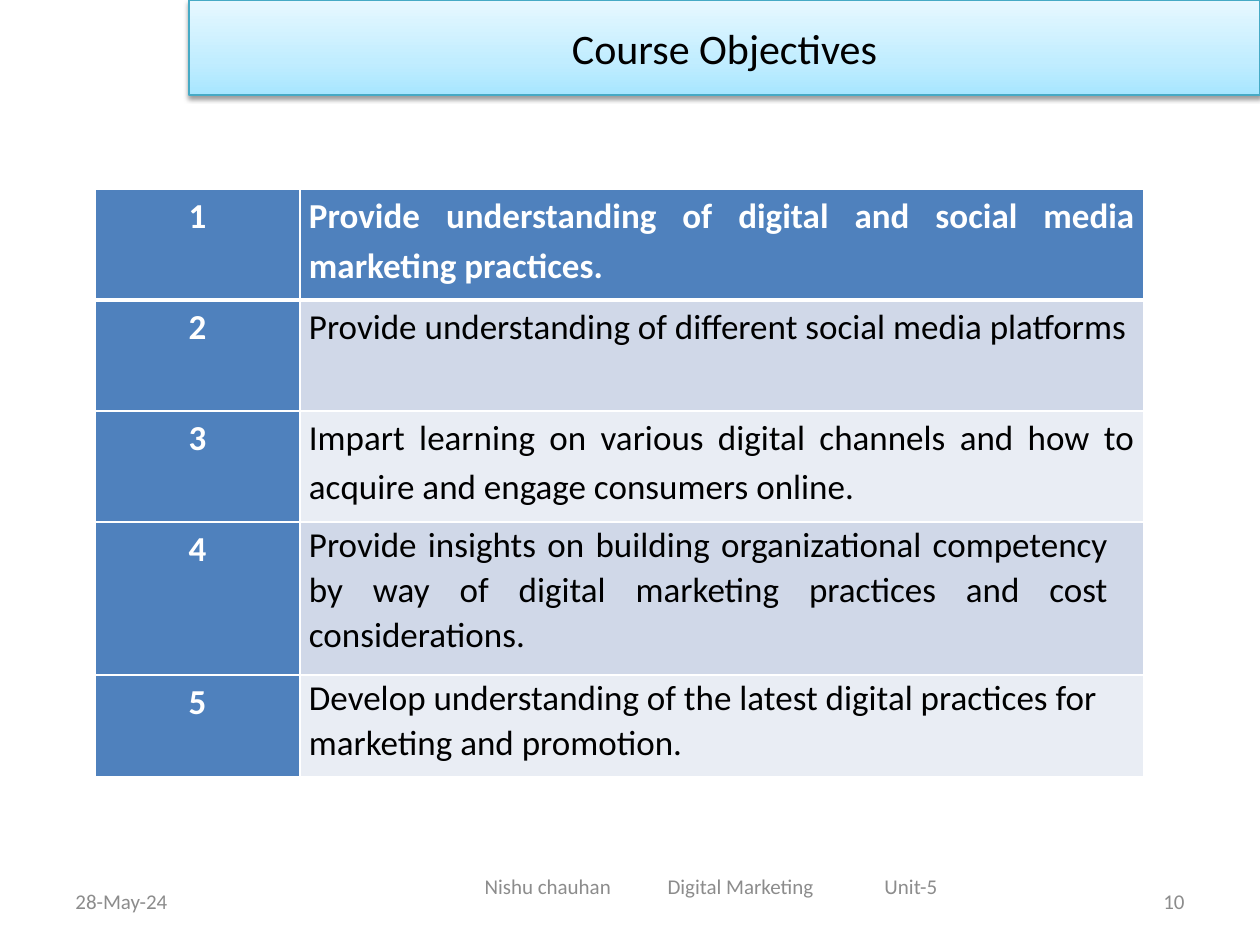
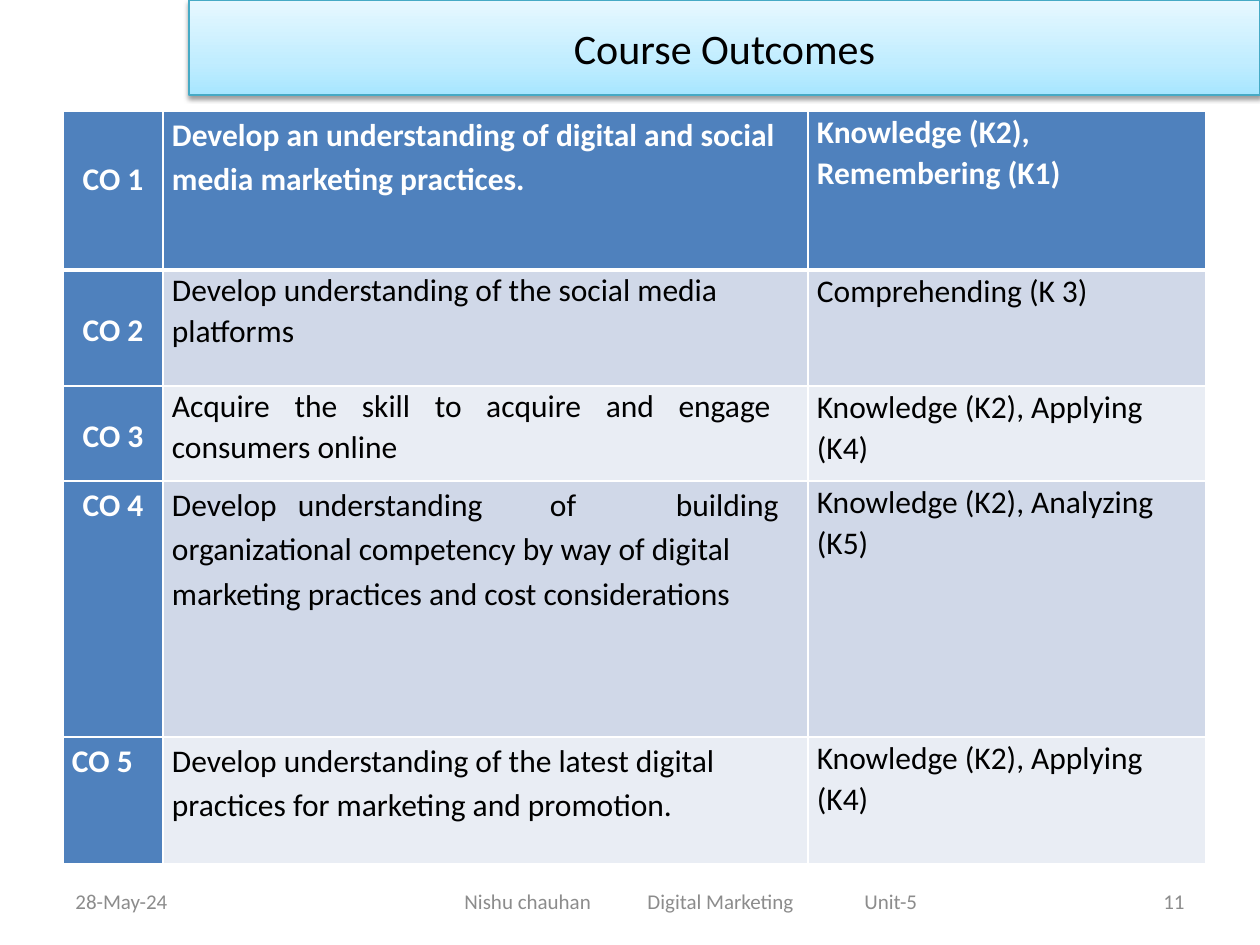
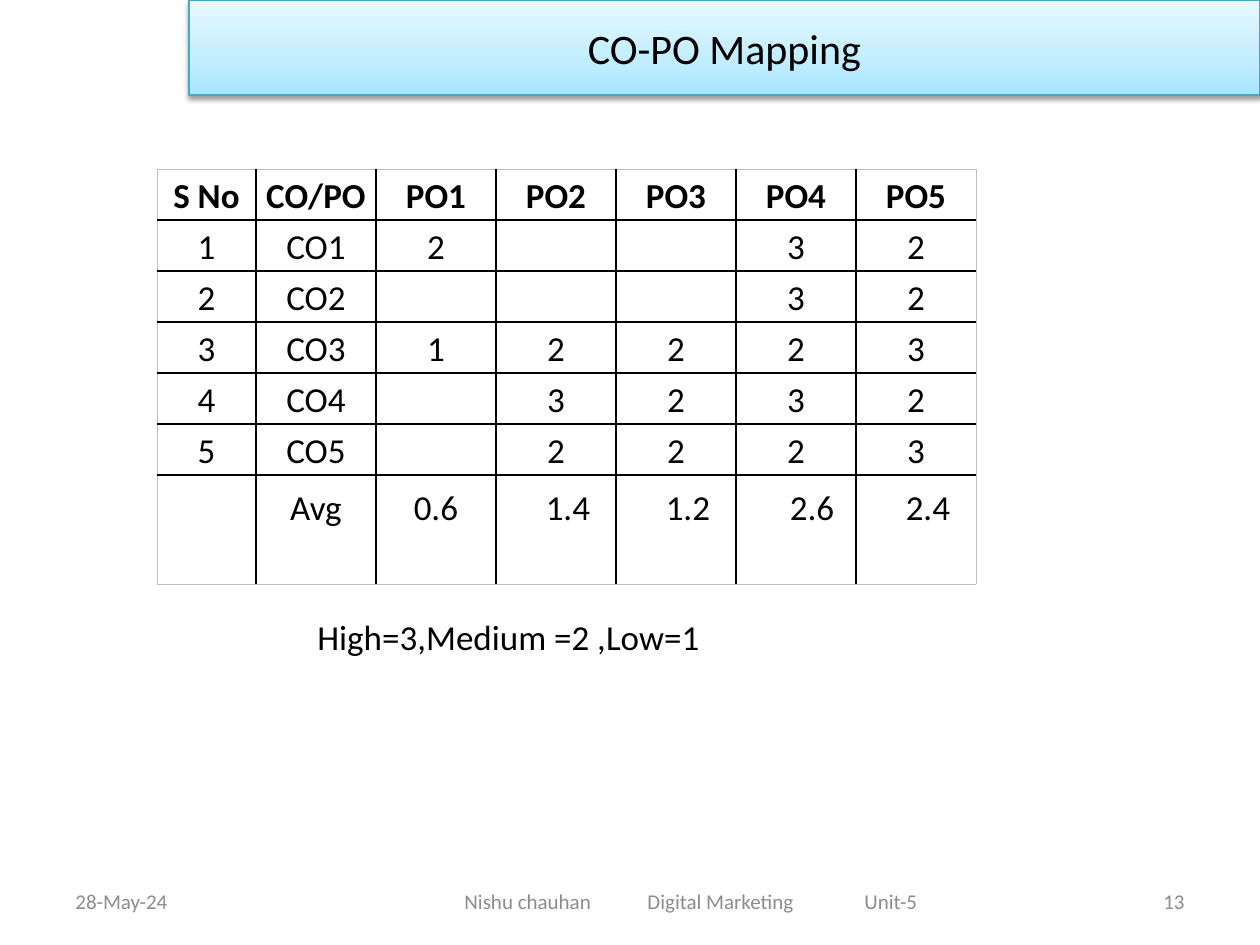
from copy import deepcopy

from lxml import etree
from pptx import Presentation
from pptx.dml.color import RGBColor
from pptx.enum.shapes import MSO_SHAPE
from pptx.enum.text import MSO_ANCHOR, PP_ALIGN
from pptx.oxml.ns import qn
from pptx.util import Emu, Pt

LEFT, CENTER, RIGHT, JUSTIFY = PP_ALIGN.LEFT, PP_ALIGN.CENTER, PP_ALIGN.RIGHT, PP_ALIGN.JUSTIFY
TOP, MIDDLE = MSO_ANCHOR.TOP, MSO_ANCHOR.MIDDLE
RECTANGLE = MSO_SHAPE.RECTANGLE

PX_PER_INCH = 126
SLIDE_WIDTH, SLIDE_HEIGHT = 1260, 945
FONT = "Calibri"
COLORS = {
    "black": "000000",
    "white": "FFFFFF",
    "footer": "8C8C8C",
    "head": "4F81BD",
    "band_dark": "D0D8E8",
    "band_light": "E9EDF4",
    "outline": "BFBFBF",
    "title_line": "46AAC5",
    "title_bottom": "A7E6FF",
    "title_middle": "C1EDFF",
    "title_top": "E7F8FF",
}
FOOTER_PARTS = ("Nishu chauhan", "Digital Marketing", "Unit-5")
FOOTER_TABS = (183, 400)
FOOTER_HALF_WIDTH = 229


def px(length):
    return Emu(round(length * 914400 / PX_PER_INCH))


def rgb(name):
    return RGBColor.from_string(COLORS[name])


def add_xml(parent, tag, **attributes):
    values = {key: str(value) for key, value in attributes.items()}
    return etree.SubElement(parent, qn(tag), values)


class Deck:
    """Holds the shared style and the slide being filled."""

    def __init__(self):
        self.presentation = Presentation()
        self.presentation.slide_width = px(SLIDE_WIDTH)
        self.presentation.slide_height = px(SLIDE_HEIGHT)
        self.slide = None

    def new_slide(self, title, number, footer_box=(347, 876, 693)):
        self.slide = self.presentation.slides.add_slide(self.presentation.slide_layouts[6])
        self.text(63, 876, 294, 50, "28-May-24", 12, "footer", anchor=MIDDLE)
        self.footer(*footer_box)
        self.text(903, 876, 294, 50, str(number), 12, "footer", RIGHT, MIDDLE)
        self.title(title)

    def style(self, text_frame, size, color, align=LEFT, bold=False, spacing=None, tabs=()):
        for paragraph in text_frame.paragraphs:
            paragraph.alignment = align
            if spacing:
                paragraph.line_spacing = spacing
            if tabs:
                tab_list = add_xml(paragraph._p.get_or_add_pPr(), "a:tabLst")
                for tab in tabs:
                    add_xml(tab_list, "a:tab", pos=px(tab), algn="l")
            for run in paragraph.runs:
                run.font.name = FONT
                run.font.size = Pt(size)
                run.font.bold = bold
                run.font.color.rgb = rgb(color)

    def text(self, left, top, width, height, text, size, color,
             align=LEFT, anchor=TOP, tabs=()):
        text_frame = self.slide.shapes.add_textbox(
            px(left), px(top), px(width), px(height)).text_frame
        text_frame.word_wrap = True
        text_frame.vertical_anchor = anchor
        text_frame.text = text
        self.style(text_frame, size, color, align, tabs=tabs)
        return text_frame

    def footer(self, left, top, width):
        """Set the three footer parts on tab stops, centred as a group."""
        text_frame = self.text(left, top, width, 50, "\t".join(FOOTER_PARTS), 12, "footer",
                               anchor=MIDDLE, tabs=FOOTER_TABS)
        text_frame.margin_left = px(width / 2 - FOOTER_HALF_WIDTH)

    def title(self, text):
        band = self.slide.shapes.add_shape(RECTANGLE, px(189), px(0), px(1071), px(95))
        band.line.color.rgb = rgb("title_line")
        band.line.width = Pt(0.75)

        band.fill.gradient()
        band.fill.gradient_angle = 90
        stop_list = band._element.spPr.find(qn("a:gradFill")).find(qn("a:gsLst"))
        stop_list.append(deepcopy(stop_list[0]))
        stops = ((0, "title_bottom"), (0.35, "title_middle"), (1, "title_top"))
        for stop, (position, color) in zip(band.fill.gradient_stops, stops):
            stop.position = position
            stop.color.rgb = rgb(color)

        band.shadow.inherit = False
        effects = band._element.spPr.find(qn("a:effectLst"))
        shadow = add_xml(effects, "a:outerShdw", blurRad=Pt(3.1), dist=Pt(1.6),
                         dir=5400000, rotWithShape=0)
        shadow_color = add_xml(shadow, "a:srgbClr", val=COLORS["black"])
        add_xml(shadow_color, "a:alpha", val=38000)

        band.text_frame.text = text
        band.text_frame.vertical_anchor = MIDDLE
        self.style(band.text_frame, 24, "black", CENTER)

    def table(self, left, top, columns, rows):
        frame = self.slide.shapes.add_table(len(rows), len(columns), px(left), px(top),
                                            px(sum(columns)), px(sum(rows)))
        table = frame.table
        table.first_row = table.horz_banding = False
        for column, width in zip(table.columns, columns):
            column.width = px(width)
        for row, height in zip(table.rows, rows):
            row.height = px(height)
        return table

    def borders(self, cell, **sides):
        """Draw the sides L, R, T and B, each given as (colour, points)."""
        properties = cell._tc.get_or_add_tcPr()
        for side in "LRTB":
            color, width = sides[side]
            line = add_xml(properties, f"a:ln{side}", w=Pt(width))
            add_xml(add_xml(line, "a:solidFill"), "a:srgbClr", val=COLORS[color])

    def cell(self, cell, text, size, color, fill=None, margins=(9, 0, 9, 0),
             anchor=TOP, align=LEFT, bold=False, spacing=1.15, tabs=()):
        cell.margin_left, cell.margin_top, cell.margin_right, cell.margin_bottom = map(px, margins)
        cell.vertical_anchor = anchor
        if fill:
            cell.fill.solid()
            cell.fill.fore_color.rgb = rgb(fill)
        else:
            cell.fill.background()
        cell.text_frame.text = text
        self.style(cell.text_frame, size, color, align, bold, spacing, tabs)

    def banded_table(self, left, top, columns, rows, size, content):
        """Fill a table with a dark first row and column; content holds (text, options) cells."""
        table = self.table(left, top, columns, rows)
        thin, thick = ("white", 1), ("white", 3)
        for row, line in enumerate(content):
            for column, (text, options) in enumerate(line):
                cell = table.cell(row, column)
                self.borders(cell, L=thin, R=thin, T=thick if row == 1 else thin,
                             B=thick if row == 0 else thin)
                is_head = row == 0 or column == 0
                band = "band_dark" if row % 2 else "band_light"
                self.cell(cell, text, size, "white" if is_head else "black",
                          "head" if is_head else band, bold=is_head, **options)

    def grid_table(self, left, top, columns, rows, size, content, last_indents):
        """Fill an unfilled ruled table; last_indents shifts the text of the last row."""
        table = self.table(left, top, columns, rows)
        inner, outer = ("black", 1), ("outline", 0.5)
        last_row, last_column = len(rows) - 1, len(columns) - 1
        for row, line in enumerate(content):
            for column, text in enumerate(line):
                cell = table.cell(row, column)
                self.borders(cell, L=inner if column else outer,
                             R=inner if column < last_column else outer,
                             T=inner if row else outer,
                             B=inner if row < last_row else outer)
                margins = (9, 0, 9, 0)
                if row == last_row:
                    margins = (13 + last_indents[column], 6, 13, 6)
                self.cell(cell, text, size, "black", margins=margins, align=CENTER, bold=row == 0)


def objectives_slide(deck):
    deck.new_slide("Course Objectives", 10, footer_box=(388, 861, 651))
    objectives = [
        ("Provide understanding of digital and social media marketing practices.",
         {"align": JUSTIFY}),
        ("Provide understanding of different social media platforms", {"align": JUSTIFY}),
        ("Impart learning on various digital channels and how to acquire and engage "
         "consumers online.", {"align": JUSTIFY}),
        ("Provide insights on building organizational competency by way of digital marketing "
         "practices and cost considerations.",
         {"align": JUSTIFY, "spacing": 1.05, "margins": (9, 0, 36, 0)}),
        ("Develop understanding of the latest digital practices for marketing and promotion.",
         {"spacing": 1.05}),
    ]
    content = [((str(number), {"align": CENTER}), objective)
               for number, objective in enumerate(objectives, 1)]
    deck.banded_table(95, 189, (205, 844), (111, 111, 111, 153, 102), 20, content)


def outcomes_slide(deck):
    deck.new_slide("Course Outcomes", 11)
    outcomes = [
        ({"align": CENTER, "margins": (9, 44, 9, 0)},
         "Develop an understanding of digital and social media marketing practices.", {},
         "Knowledge (K2), Remembering (K1)"),
        ({"align": CENTER, "anchor": MIDDLE},
         "Develop understanding of the social media platforms", {"spacing": 1.05},
         "Comprehending (K 3)"),
        ({"align": CENTER, "anchor": MIDDLE},
         "Acquire the skill to acquire and engage consumers online",
         {"align": JUSTIFY, "spacing": 1.05, "margins": (9, 0, 37, 0)},
         "Knowledge (K2), Applying (K4)"),
        ({"align": CENTER},
         "Develop\tunderstanding\tof\tbuilding organizational competency by way of digital "
         "marketing practices and cost considerations", {"tabs": (126, 378, 504)},
         "Knowledge (K2), Analyzing (K5)"),
        ({},
         "Develop understanding of the latest digital practices for marketing and promotion.", {},
         "Knowledge (K2), Applying (K4)"),
    ]
    content = [((f"CO {number}", code_options), (outcome, options), (level, {"spacing": 1.07}))
               for number, (code_options, outcome, options, level) in enumerate(outcomes, 1)]
    deck.banded_table(63, 111, (100, 645, 398), (159, 116, 95, 256, 127), 18, content)


def mapping_slide(deck):
    deck.new_slide("CO-PO Mapping", 13)
    deck.text(305, 609, 634, 93, "High=3,Medium =2 ,Low=1", 20, "black")
    scores = [
        ("2", "", "", "3", "2"),
        ("", "", "", "3", "2"),
        ("1", "2", "2", "2", "3"),
        ("", "3", "2", "3", "2"),
        ("", "2", "2", "2", "3"),
    ]
    content = [("S No", "CO/PO", *(f"PO{number}" for number in range(1, 6)))]
    content += [(str(number), f"CO{number}", *line) for number, line in enumerate(scores, 1)]
    content.append(("", "Avg", "0.6", "1.4", "1.2", "2.6", "2.4"))
    deck.grid_table(157, 169, (99,) + (120,) * 6, (51,) * 6 + (109,), 20, content,
                    last_indents=(0, 0, 0, 24, 24, 32, 24))


def main():
    deck = Deck()
    objectives_slide(deck)
    outcomes_slide(deck)
    mapping_slide(deck)
    deck.presentation.save("out.pptx")


if __name__ == "__main__":
    main()
